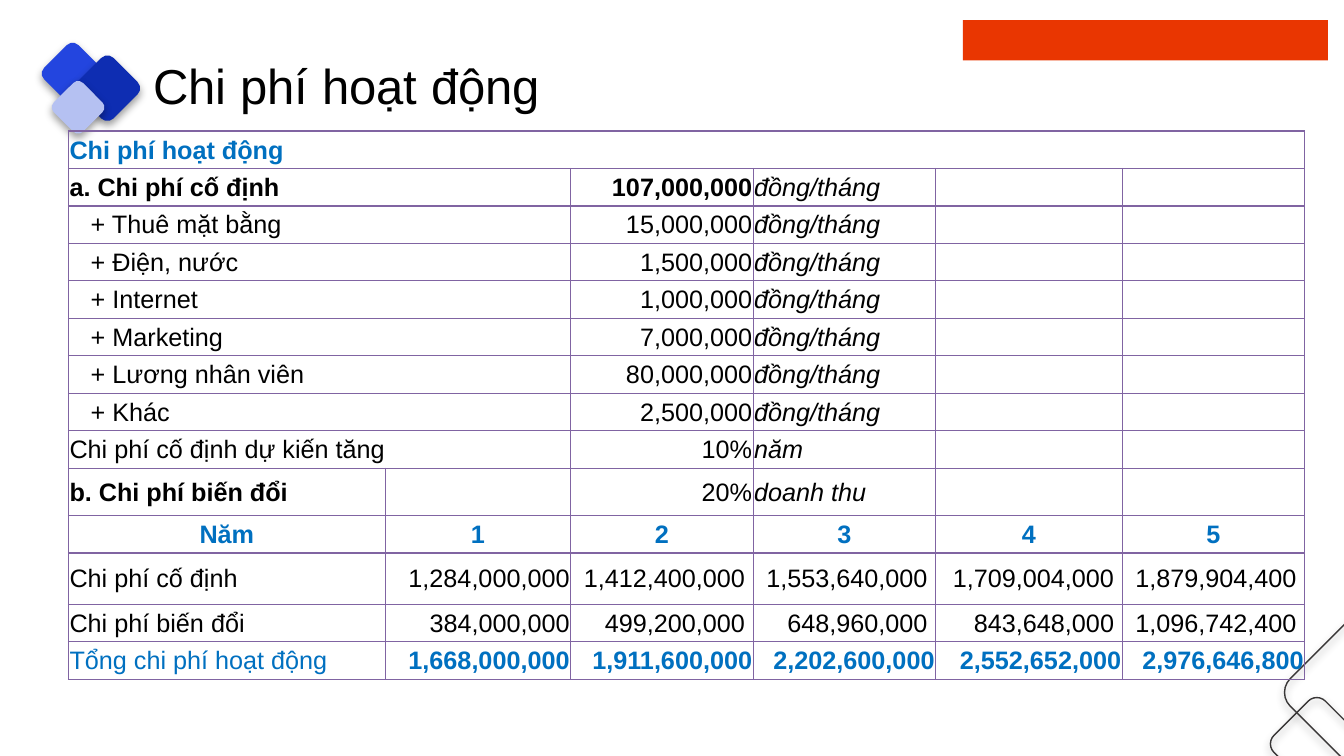
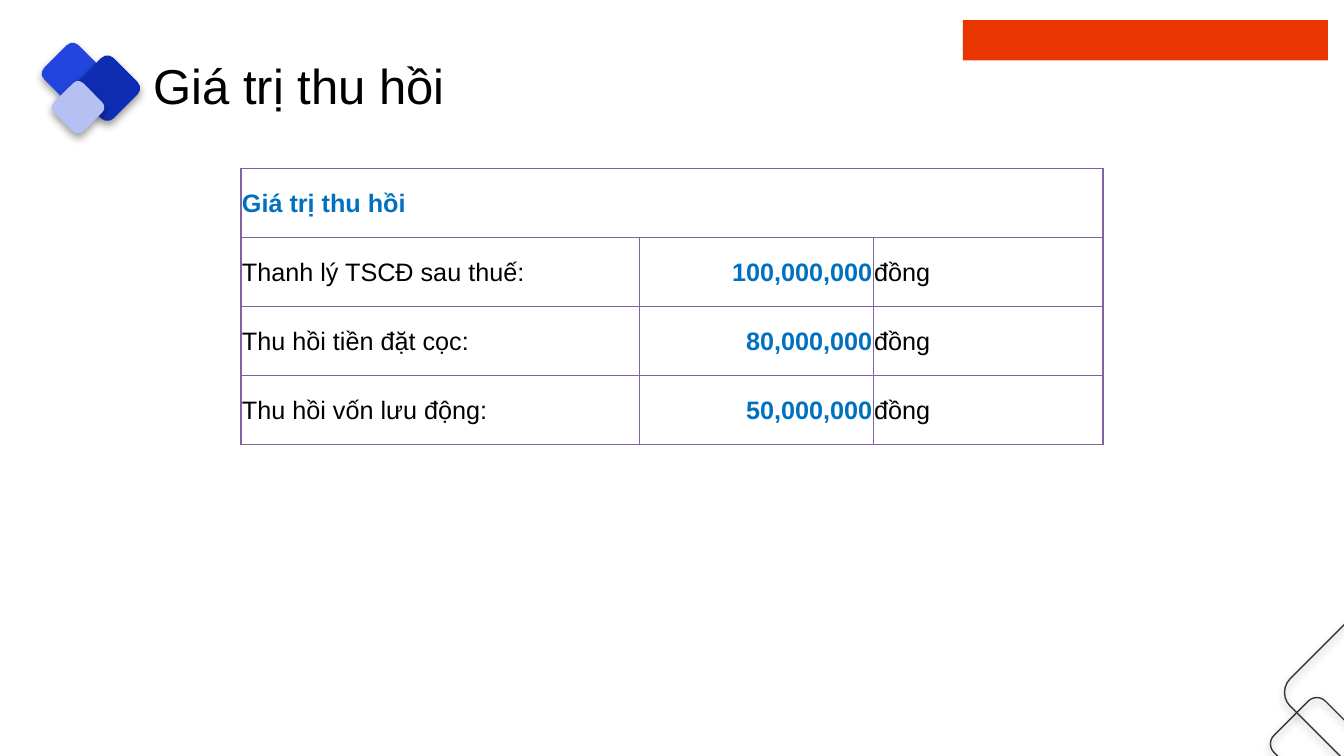
from lxml import etree
from pptx import Presentation
from pptx.dml.color import RGBColor
from pptx.enum.shapes import MSO_SHAPE
from pptx.enum.text import MSO_ANCHOR, PP_ALIGN
from pptx.oxml.ns import qn
from pptx.util import Inches, Pt

ROUNDED, RECTANGLE = MSO_SHAPE.ROUNDED_RECTANGLE, MSO_SHAPE.RECTANGLE
MIDDLE = MSO_ANCHOR.MIDDLE
LEFT, CENTER, RIGHT = PP_ALIGN.LEFT, PP_ALIGN.CENTER, PP_ALIGN.RIGHT

FONT = "Arial"
COLORS = {
    "royal": "2345DF",
    "navy": "0E2DB2",
    "lavender": "B5C1F2",
    "outline": "393737",
    "banner": "E93601",
    "text": "000000",
    "accent": "0070C0",
    "border": "8064A2",
    "shadow": "000000",
}
BANNER_BOX = (9.55, 0.2, 3.62, 0.4)
DIAMONDS = [
    (0.48, 0.49, 0.48, "royal"),
    (0.81, 0.62, 0.51, "navy"),
    (0.57, 0.86, 0.41, "lavender"),
    (12.70, 7.02, 0.72, None),
    (12.90, 6.29, 1.16, None),
]

CELL_STYLES = {
    "label": {},
    "item": {"indent": 0.21},
    "strong": {"bold": True},
    "heading": {"bold": True, "color": "accent"},
    "year": {"bold": True, "color": "accent", "align": CENTER},
    "number": {"align": RIGHT},
    "spaced number": {"align": RIGHT, "gap": 0.07},
    "strong number": {"bold": True, "align": RIGHT},
    "total label": {"color": "accent"},
    "total": {"bold": True, "color": "accent", "align": RIGHT},
    "unit": {"italic": True},
}
ROW_STYLES = {
    "heading": ["heading"],
    "group": ["strong", "label", "strong number", "unit"],
    "cost": ["item", "label", "number", "unit"],
    "growth": ["label", "label", "number", "unit"],
    "rate": ["strong", "label", "number", "unit"],
    "years": ["year"] * 6,
    "amounts": ["label", "number"] + ["spaced number"] * 4,
    "totals": ["total label"] + ["total"] * 5,
    "recovery": ["label", "total", "label"],
}

MONTHLY = "đồng/tháng"
COST_ROWS = [
    ("heading", ["Chi phí hoạt động"]),
    ("group", ["a. Chi phí cố định", "", "107,000,000", MONTHLY]),
    ("cost", ["+ Thuê mặt bằng", "", "15,000,000", MONTHLY]),
    ("cost", ["+ Điện, nước", "", "1,500,000", MONTHLY]),
    ("cost", ["+ Internet", "", "1,000,000", MONTHLY]),
    ("cost", ["+ Marketing", "", "7,000,000", MONTHLY]),
    ("cost", ["+ Lương nhân viên", "", "80,000,000", MONTHLY]),
    ("cost", ["+ Khác", "", "2,500,000", MONTHLY]),
    ("growth", ["Chi phí cố định dự kiến tăng", "", "10%", "năm"]),
    ("rate", ["b. Chi phí biến đổi", "", "20%", "doanh thu"]),
    ("years", ["Năm", "1", "2", "3", "4", "5"]),
    ("amounts", ["Chi phí cố định", "1,284,000,000", "1,412,400,000",
                 "1,553,640,000", "1,709,004,000", "1,879,904,400"]),
    ("amounts", ["Chi phí biến đổi", "384,000,000", "499,200,000",
                 "648,960,000", "843,648,000", "1,096,742,400"]),
    ("totals", ["Tổng chi phí hoạt động", "1,668,000,000", "1,911,600,000",
                "2,202,600,000", "2,552,652,000", "2,976,646,800"]),
]
RECOVERY_ROWS = [
    ("heading", ["Giá trị thu hồi"]),
    ("recovery", ["Thanh lý TSCĐ sau thuế:", "100,000,000", "đồng"]),
    ("recovery", ["Thu hồi tiền đặt cọc:", "80,000,000", "đồng"]),
    ("recovery", ["Thu hồi vốn lưu động:", "50,000,000", "đồng"]),
]
SLIDES = [
    {"title": "Chi phí hoạt động", "rows": COST_ROWS,
     "left": 0.68, "top": 1.3, "height": 5.44,
     "columns": [3.14, 1.84, 1.81, 1.81, 1.85, 1.81],
     "tall_rows": {9: 0.47, 11: 0.51}},
    {"title": "Giá trị thu hồi", "rows": RECOVERY_ROWS,
     "left": 2.39, "top": 1.67, "height": 2.74,
     "columns": [3.95, 2.32, 2.28], "tall_rows": {}},
]
LABEL_SPANS = {"group": 2, "cost": 2, "growth": 2}


def rgb(name):
    return RGBColor.from_string(COLORS[name])


def add_color(parent, name):
    fill = etree.SubElement(parent, qn("a:solidFill"))
    etree.SubElement(fill, qn("a:srgbClr"), val=COLORS[name])


def add_text(paragraph, text, size, color="text", bold=False, italic=False, align=LEFT):
    paragraph.alignment = align
    run = paragraph.add_run()
    run.text = text
    font = run.font
    font.name, font.size, font.bold, font.italic = FONT, Pt(size), bold, italic
    font.color.rgb = rgb(color)


def add_plain_shape(slide, kind, box, color):
    shape = slide.shapes.add_shape(kind, *map(Inches, box))
    shape.shadow.inherit = False
    if color:
        shape.fill.solid()
        shape.fill.fore_color.rgb = rgb(color)
        shape.line.fill.background()
    else:
        shape.fill.background()
        shape.line.color.rgb = rgb("outline")
        shape.line.width = Pt(1)
    return shape


def add_diamond(slide, left, top, side, color):
    shape = add_plain_shape(slide, ROUNDED, (left, top, side, side), color)
    shape.rotation = 45
    effects = shape.element.spPr.find(qn("a:effectLst"))
    shadow = etree.SubElement(effects, qn("a:outerShdw"), blurRad=str(Pt(6)),
                              dist=str(Pt(3)), dir="5400000", rotWithShape="0")
    shade = etree.SubElement(shadow, qn("a:srgbClr"), val=COLORS["shadow"])
    etree.SubElement(shade, qn("a:alpha"), val="39000")
    return shape


def decorate_layout(layout, slide):
    parts = [add_diamond(slide, *diamond) for diamond in DIAMONDS]
    parts.append(add_plain_shape(slide, RECTANGLE, BANNER_BOX, "banner"))
    for part in parts:
        layout.shapes.element.append(part.element)


def set_title(slide, text):
    title = slide.shapes.title
    title.left, title.top, title.width, title.height = map(Inches, (1.42, 0.5, 9.62, 0.69))
    title.text_frame.vertical_anchor = MIDDLE
    add_text(title.text_frame.paragraphs[0], text, 35)


def format_cell(cell, text, indent=0, gap=0, **text_style):
    cell.vertical_anchor = MIDDLE
    cell.margin_left, cell.margin_right = Inches(0.01 + indent), Inches(0.01 + gap)
    cell.margin_top, cell.margin_bottom = Inches(0.01), 0
    properties = cell._tc.get_or_add_tcPr()
    for side in ("a:lnL", "a:lnR", "a:lnT", "a:lnB"):
        add_color(etree.SubElement(properties, qn(side), w=str(Pt(1))), "border")
    cell.fill.background()
    paragraph = cell.text_frame.paragraphs[0]
    paragraph.font.size = Pt(18)
    if text:
        add_text(paragraph, text, 18, **text_style)


def add_cost_table(slide, rows, left, top, height, columns, tall_rows):
    frame = slide.shapes.add_table(len(rows), len(columns), Inches(left), Inches(top),
                                   Inches(sum(columns)), Inches(height))
    table = frame.table
    table.first_row = table.horz_banding = False
    for column, width in zip(table.columns, columns):
        column.width = Inches(width)
    regular = (height - sum(tall_rows.values())) / (len(rows) - len(tall_rows))
    for row_index, (kind, texts) in enumerate(rows):
        table.rows[row_index].height = Inches(tall_rows.get(row_index, regular))
        styles = ROW_STYLES[kind]
        for column_index in range(len(columns)):
            filled = column_index < len(texts)
            text = texts[column_index] if filled else ""
            style = CELL_STYLES[styles[column_index]] if filled else {}
            format_cell(table.cell(row_index, column_index), text, **style)
        span = len(columns) if kind == "heading" else LABEL_SPANS.get(kind, 1)
        if span > 1:
            table.cell(row_index, 0).merge(table.cell(row_index, span - 1))


def main():
    presentation = Presentation()
    presentation.slide_width, presentation.slide_height = Inches(13.33), Inches(7.5)
    layout = presentation.slide_layouts[5]
    for index, content in enumerate(SLIDES):
        slide = presentation.slides.add_slide(layout)
        if index == 0:
            decorate_layout(layout, slide)
        set_title(slide, content["title"])
        add_cost_table(slide, **{key: value for key, value in content.items() if key != "title"})
    presentation.save("out.pptx")


if __name__ == "__main__":
    main()
